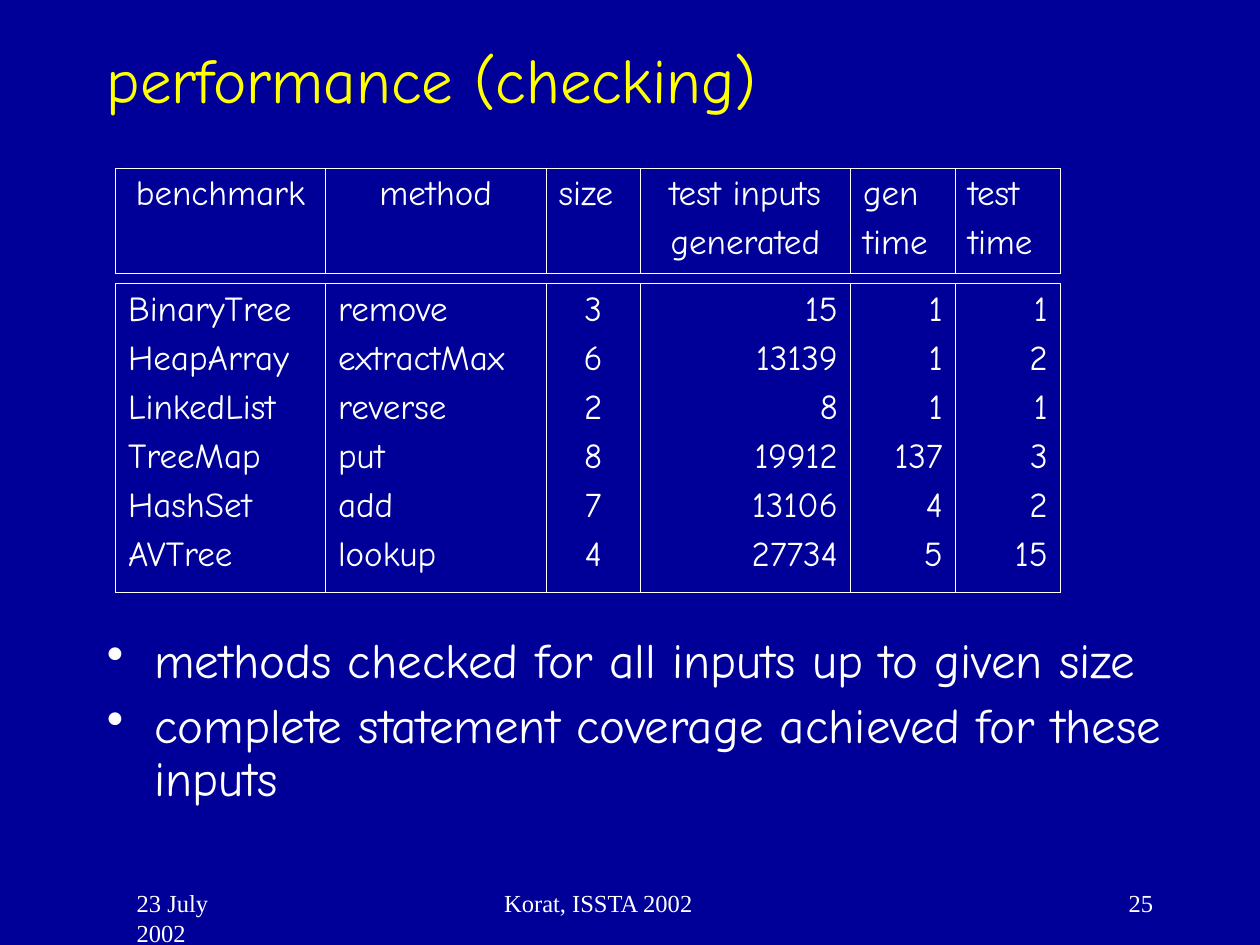
import pptx
import pptx.util
import pptx.dml.color
import pptx.enum.text
import pptx.oxml
import pptx.oxml.ns
from dataclasses import dataclass

Pt = pptx.util.Pt
ALIGN = pptx.enum.text.PP_ALIGN
ANCHOR = pptx.enum.text.MSO_ANCHOR

TITLE = "performance (checking)"
HEADINGS = ["benchmark", "method", "size", "test inputs\ngenerated", "gen\ntime", "test\ntime"]
RESULTS = [
    ("BinaryTree", "remove", 3, 15, 1, 1),
    ("HeapArray", "extractMax", 6, 13139, 1, 2),
    ("LinkedList", "reverse", 2, 8, 1, 1),
    ("TreeMap", "put", 8, 19912, 137, 3),
    ("HashSet", "add", 7, 13106, 4, 2),
    ("AVTree", "lookup", 4, 27734, 5, 15),
]
FINDINGS = [
    "methods checked for all inputs up to given size",
    "complete statement coverage achieved for these inputs",
]
FOOTERS = [
    ("Korat, ISSTA 2002", 264, 228, ALIGN.LEFT),
    ("25", 618, 48, ALIGN.RIGHT),
    ("23 July 2002", 54, 96, ALIGN.LEFT),
]
COLUMN_WIDTHS = [120, 126, 54, 120, 60, 60]
HEADING_ALIGNS = [ALIGN.CENTER, ALIGN.CENTER, ALIGN.LEFT, ALIGN.CENTER, ALIGN.LEFT, ALIGN.LEFT]
RESULT_ALIGNS = [ALIGN.LEFT, ALIGN.LEFT, ALIGN.CENTER, ALIGN.RIGHT, ALIGN.RIGHT, ALIGN.RIGHT]
TABLE_LEFT = 66


@dataclass(frozen=True)
class Theme:
    background: str = "000099"
    accent: str = "FFFF00"
    text: str = "FFFFFF"
    font: str = "Comic Neue"
    footer_font: str = "Times New Roman"
    title_size: int = 36
    body_size: int = 28
    table_size: int = 20
    footer_size: int = 14
    border: float = 0.45


THEME = Theme()


def rgb(value):
    return pptx.dml.color.RGBColor.from_string(value)


def write(frame, lines, size, color=THEME.text, font=THEME.font, align=ALIGN.LEFT, before=0):
    frame.text = "\n".join(lines)
    frame.word_wrap = True
    for para in frame.paragraphs:
        para.alignment = align
        para.space_before = Pt(before)
        for span in para.runs:
            span.font.size = Pt(size)
            span.font.name = font
            span.font.color.rgb = rgb(color)


def add_text(page, bounds, lines, size, **style):
    box = page.shapes.add_textbox(*map(Pt, bounds))
    write(box.text_frame, lines, size, **style)
    return box.text_frame


def indent(para, margin, first_line=0, bullet=None):
    properties = para._p.get_or_add_pPr()
    properties.set("marL", str(Pt(margin)))
    properties.set("indent", str(Pt(first_line)))
    if bullet:
        namespace = pptx.oxml.ns.nsdecls("a")
        for markup in (
            f'<a:buClr {namespace}><a:srgbClr val="{THEME.text}"/></a:buClr>',
            f'<a:buChar {namespace} char="{bullet}"/>',
        ):
            properties.append(pptx.oxml.parse_xml(markup))


def add_borders(cell):
    properties = cell._tc.get_or_add_tcPr()
    for side in "LRTB":
        properties.append(pptx.oxml.parse_xml(
            f'<a:ln{side} {pptx.oxml.ns.nsdecls("a")} w="{Pt(THEME.border)}">'
            f'<a:solidFill><a:srgbClr val="{THEME.text}"/></a:solidFill></a:ln{side}>'
        ))


def add_single_row_table(page, top, height, columns, aligns):
    frame = page.shapes.add_table(
        1, len(columns), Pt(TABLE_LEFT), Pt(top), Pt(sum(COLUMN_WIDTHS)), Pt(height))
    table = frame.table
    table.first_row = False
    table.horz_banding = False
    for index, (lines, align) in enumerate(zip(columns, aligns)):
        table.columns[index].width = Pt(COLUMN_WIDTHS[index])
        cell = table.cell(0, index)
        write(cell.text_frame, lines, THEME.table_size, align=align, before=5)
        add_borders(cell)
        cell.fill.background()


def main():
    deck = pptx.Presentation()
    deck.slide_width, deck.slide_height = Pt(720), Pt(540)
    page = deck.slides.add_slide(deck.slide_layouts[6])
    page.background.fill.solid()
    page.background.fill.fore_color.rgb = rgb(THEME.background)

    title = add_text(page, (54, 12, 612, 66), [TITLE], THEME.title_size, color=THEME.accent)
    title.vertical_anchor = ANCHOR.MIDDLE

    heading_columns = [heading.split("\n") for heading in HEADINGS]
    result_columns = [list(map(str, column)) for column in zip(*RESULTS)]
    add_single_row_table(page, 96, 60, heading_columns, HEADING_ALIGNS)
    add_single_row_table(page, 162, 176.5, result_columns, RESULT_ALIGNS)

    findings = add_text(page, (54, 360, 666, 114), FINDINGS, THEME.body_size, before=7)
    for para in findings.paragraphs:
        para.line_spacing = 0.9
        indent(para, 27, -27, "•")

    for label, left, width, align in FOOTERS:
        footer = add_text(page, (left, 504, width, 36), [label], THEME.footer_size,
                          font=THEME.footer_font, align=align)
        indent(footer.paragraphs[0], 17)

    deck.save("out.pptx")


if __name__ == "__main__":
    main()
